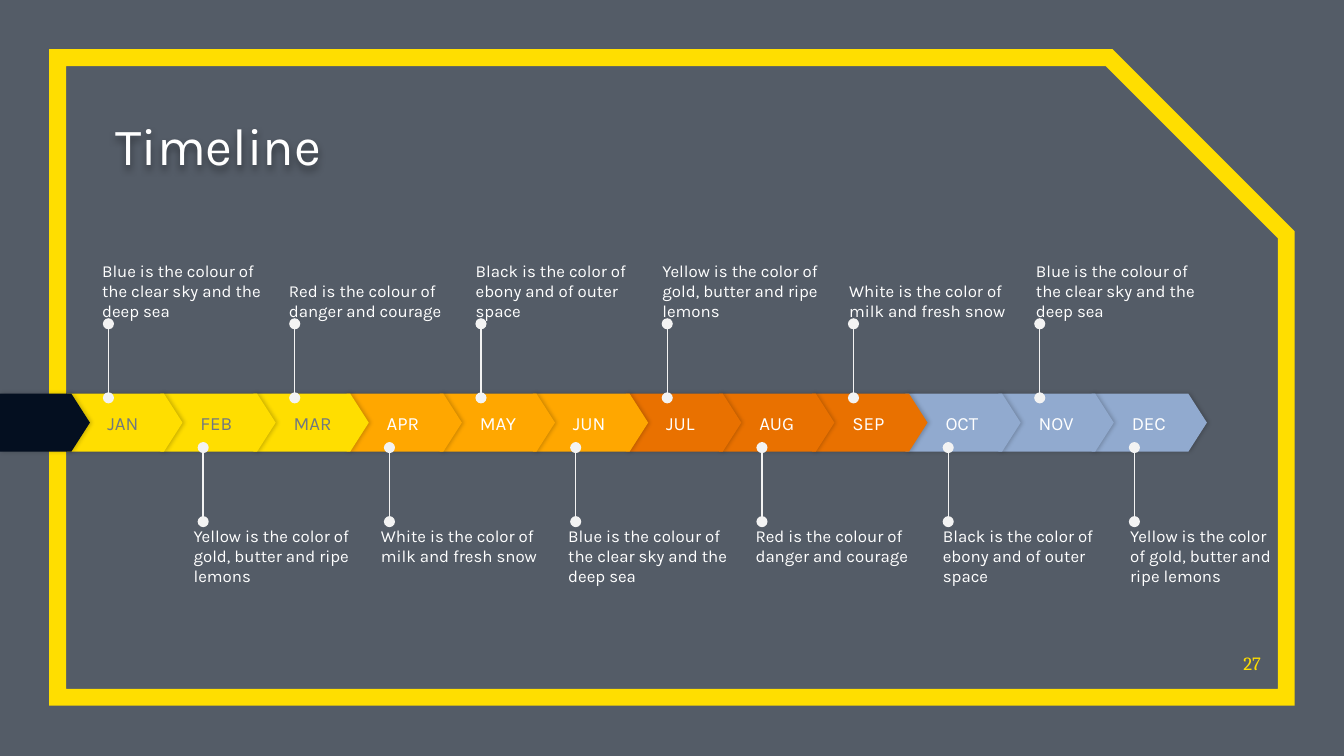
from lxml import etree
from pptx import Presentation
from pptx import util as u
from pptx.dml.color import RGBColor
from pptx.enum import shapes, text
from pptx.oxml import ns

YELLOW, AMBER, ORANGE, BLUE = "FFDE00", "FFA700", "E97100", "91AACF"
NAVY, SLATE, GREY = "040F20", "545C67", "717881"
WHITE, PALE = "FFFFFF", "F3F3F3"

MONTHS = ["JAN", "FEB", "MAR", "APR", "MAY", "JUN",
          "JUL", "AUG", "SEP", "OCT", "NOV", "DEC"]
QUARTER_COLORS = [YELLOW, AMBER, ORANGE, BLUE]
MONTH_STEP = 1.76
BAR_TOP, BAR_HEIGHT = 7.44, 1.1

SKY = "Blue is the colour of the clear sky and the deep sea"
DANGER = "Red is the colour of danger and courage"
EBONY = "Black is the color of ebony and of outer space"
GOLD = "Yellow is the color of gold, butter and ripe lemons"
SNOW = "White is the color of milk and fresh snow"
NOTES_ABOVE = [SKY, DANGER, EBONY, GOLD, SNOW, SKY]
NOTES_BELOW = [GOLD, SNOW, SKY, DANGER, EBONY, GOLD]


def rgb(color):
    return RGBColor.from_string(color)


def add_element(parent, tag, **attributes):
    return etree.SubElement(parent, ns.qn(tag), attributes)


def write(shape, words, size, color, font="Karla", left=0,
          anchor=text.MSO_ANCHOR.TOP, align=text.PP_ALIGN.LEFT):
    frame = shape.text_frame
    frame.text = words
    frame.word_wrap = True
    frame.auto_size = text.MSO_AUTO_SIZE.NONE
    frame.vertical_anchor = anchor
    frame.margin_left = u.Cm(left)
    frame.margin_top = frame.margin_right = frame.margin_bottom = 0
    para = frame.paragraphs[0]
    para.alignment = align
    span = para.runs[0].font
    span.name, span.size, span.color.rgb = font, u.Pt(size), rgb(color)


def cast_shadow(shape, blur, distance, direction, opacity):
    """Give a soft black shadow; direction in degrees, opacity in percent."""
    shape.shadow.inherit = False
    effects = shape._element.spPr.find(ns.qn("a:effectLst"))
    shadow = add_element(effects, "a:outerShdw", blurRad=str(u.Pt(blur)),
                         dist=str(u.Pt(distance)), dir=str(direction * 60000),
                         algn="bl", rotWithShape="0")
    black = add_element(shadow, "a:srgbClr", val="000000")
    add_element(black, "a:alpha", val=str(opacity * 1000))


def add_frame(page):
    frame = page.shapes.add_shape(shapes.MSO_SHAPE.SNIP_1_RECTANGLE,
                                  u.Cm(1.09), u.Cm(1.09), u.Cm(23.22), u.Cm(12.09))
    frame.adjustments[0] = 0.277
    frame.fill.background()
    frame.line.color.rgb = rgb(YELLOW)
    frame.line.width = u.Pt(9)
    add_element(frame.line._get_or_add_ln(), "a:miter", lim="800000")
    frame.shadow.inherit = False


def add_title(page, words):
    title = page.shapes.title
    title.left, title.top = u.Cm(2.18), u.Cm(1.98)
    title.width, title.height = u.Cm(18.67), u.Cm(1.35)
    write(title, words, 28, WHITE, anchor=text.MSO_ANCHOR.BOTTOM)
    cast_shadow(title, 4, 2, 90, 40)


def add_text(page, left, top, width, height, words, size, color, **style):
    box = page.shapes.add_textbox(u.Cm(left), u.Cm(top), u.Cm(width), u.Cm(height))
    write(box, words, size, color, **style)


def add_arrow_block(page, left, width, color):
    block = page.shapes.add_shape(shapes.MSO_SHAPE.PENTAGON, u.Cm(left),
                                  u.Cm(BAR_TOP), u.Cm(width), u.Cm(BAR_HEIGHT))
    block.adjustments[0] = 0.32
    block.fill.solid()
    block.fill.fore_color.rgb = rgb(color)
    block.line.fill.background()
    cast_shadow(block, 2.2, 0.8, 0, 20)
    return block


def add_bar(page):
    """Lay the months from last to first, so each point covers the next block."""
    for i, month in reversed(list(enumerate(MONTHS))):
        color = QUARTER_COLORS[i // 3]
        block = add_arrow_block(page, 1.27 + i * MONTH_STEP, 2.18, color)
        write(block, month, 10, GREY if color == YELLOW else WHITE, left=0.76,
              anchor=text.MSO_ANCHOR.MIDDLE)
    add_arrow_block(page, 0, 1.7, NAVY)


def add_pin(page, x, bottom, top):
    pin = page.shapes.add_connector(shapes.MSO_CONNECTOR.STRAIGHT,
                                    u.Cm(x), u.Cm(bottom), u.Cm(x), u.Cm(top))
    pin.line.color.rgb = rgb(PALE)
    pin.line.width = u.Pt(0.75)
    for end in ("a:headEnd", "a:tailEnd"):
        add_element(pin.line._get_or_add_ln(), end, type="oval")
    add_element(pin._element.spPr, "a:effectLst")


def add_notes(page):
    for i, note in enumerate(NOTES_ABOVE):
        add_pin(page, 2.05 + 2 * i * MONTH_STEP, 7.52, 6.12)
        add_text(page, 1.93 + 3.53 * i, 4.6, 3.33, 1.47, note, 9, WHITE,
                 anchor=text.MSO_ANCHOR.BOTTOM)
    for i, note in enumerate(NOTES_BELOW):
        add_pin(page, 2.08 + (2 * i + 1) * MONTH_STEP, 9.86, 8.46)
        width = 2.77 if i == len(NOTES_BELOW) - 1 else 3.33
        add_text(page, 3.66 + 3.54 * i, 9.93, width, 1.47, note, 9, WHITE)


def main():
    deck = Presentation()
    deck.slide_width, deck.slide_height = u.Cm(25.4), u.Cm(14.29)
    page = deck.slides.add_slide(deck.slide_layouts[5])
    page.background.fill.solid()
    page.background.fill.fore_color.rgb = rgb(SLATE)
    add_frame(page)
    add_title(page, "Timeline")
    add_text(page, 23.14, 12.04, 0.69, 0.71, "27", 10, YELLOW, font="Cambria",
             anchor=text.MSO_ANCHOR.BOTTOM, align=text.PP_ALIGN.RIGHT)
    add_bar(page)
    add_notes(page)
    deck.save("out.pptx")


if __name__ == "__main__":
    main()
